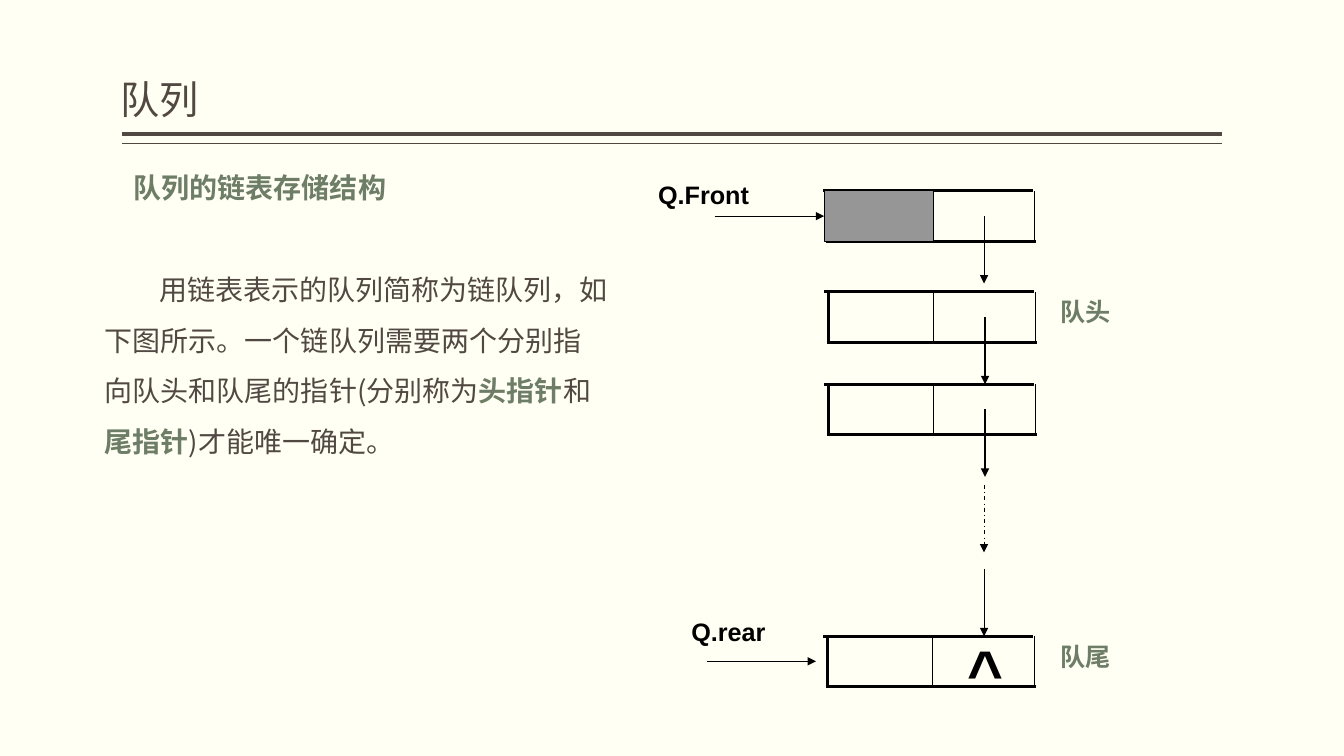
"""Build a slide that shows a queue stored as a linked list."""
from lxml import etree
from pptx import Presentation
from pptx.dml.color import RGBColor
from pptx.enum.dml import MSO_LINE
from pptx.enum.shapes import MSO_CONNECTOR, MSO_SHAPE
from pptx.enum.text import MSO_ANCHOR
from pptx.oxml.ns import qn
from pptx.util import Pt

STRAIGHT = MSO_CONNECTOR.STRAIGHT
RECTANGLE = MSO_SHAPE.RECTANGLE
DASH_DOT = MSO_LINE.DASH_DOT
BOTTOM = MSO_ANCHOR.BOTTOM
CHINESE_FONT = "Noto Sans CJK SC"
BROWN, GREEN, BLACK = "514843", "6D7D66", "000000"

presentation = Presentation()
presentation.slide_width = Pt(960)
presentation.slide_height = Pt(540)
slide = presentation.slides.add_slide(presentation.slide_layouts[6])
slide.background.fill.solid()
slide.background.fill.fore_color.rgb = RGBColor.from_string("FFFFF3")


def add_line(x1, y1, x2, y2, width, color=BLACK, arrow=False):
    """Draw a straight line, with an arrowhead at its end if asked."""
    connector = slide.shapes.add_connector(STRAIGHT, Pt(x1), Pt(y1), Pt(x2), Pt(y2))
    connector.line.width = Pt(width)
    connector.line.color.rgb = RGBColor.from_string(color)
    properties = connector._element.spPr
    if arrow:
        etree.SubElement(properties.find(qn("a:ln")), qn("a:tailEnd"), type="triangle")
    etree.SubElement(properties, qn("a:effectLst"))
    return connector


def add_text(left, top, width, height, runs, size, font):
    """Add a text box of one paragraph from (text, color, bold) runs."""
    box = slide.shapes.add_textbox(Pt(left), Pt(top), Pt(width), Pt(height))
    box.text_frame.word_wrap = True
    paragraph = box.text_frame.paragraphs[0]
    for text, color, bold in runs:
        run = paragraph.add_run()
        run.text = text
        run.font.size = Pt(size)
        run.font.bold = bold
        run.font.name = font
        run.font.color.rgb = RGBColor.from_string(color)
        etree.SubElement(run.font._element, qn("a:ea"), typeface=CHINESE_FONT)
    return box.text_frame


for rule_y, rule_width in ((95.8, 3), (102.6, 0.75)):
    add_line(87.1, rule_y, 873, rule_y, rule_width, BROWN)

title = add_text(86, 46.8, 708, 44.6, [("队列", BROWN, False)], 28, CHINESE_FONT)
title.vertical_anchor = BOTTOM
title.margin_left = title.margin_right = 0
title.paragraphs[0].line_spacing = 0.9

body_runs = [
    ("用链表表示的队列简称为链队列，如下图所示。一个链队列需要两个分别指向队头和队尾的指针(分别称为", BROWN, False),
    ("头指针", GREEN, True),
    ("和", BROWN, False),
    ("尾指针", GREEN, True),
    (")才能唯一确定。", BROWN, False),
]
body = add_text(67.7, 179.4, 374.2, 155.5, body_runs, 20, CHINESE_FONT)
body.paragraphs[0].line_spacing = 1.5
body.paragraphs[0]._p.get_or_add_pPr().set("indent", str(Pt(38.8)))

labels = [
    ("队列的链表存储结构", 88.4, 118.2, 220, 20, GREEN),
    ("Q.Front", 463, 124.6, 98, 18, BLACK),
    ("Q.rear", 486.7, 436.8, 96, 18, BLACK),
    ("^", 684, 448.6, 36, 44, BLACK),
    ("队头", 750.6, 208.1, 66, 18, GREEN),
    ("队尾", 750.6, 454.3, 66, 18, GREEN),
]
for text, left, top, width, size, color in labels:
    add_text(left, top, width, size * 1.6, [(text, color, True)], size, "Arial")

NODE_HEIGHT = 36
NODE_WIDTH = 147.6
LINE_END = 1.1
for left, top in ((591.1, 136.4), (591.8, 208.4), (591.8, 274.5), (591.1, 454.5)):
    right, bottom = left + NODE_WIDTH, top + NODE_HEIGHT
    add_line(left - LINE_END, bottom, right + LINE_END, bottom, 2.25)
    add_line(left - 2.1 - LINE_END, top, right - 2.1 + LINE_END, top, 2.25)
    for x, width in ((left, 2.25), (left + 74.9, 0.75), (right, 0.75)):
        add_line(x, bottom, x, top, width)

ARROW_LENGTH = 48.2
for x, y in ((702.9, 154.3), (703.6, 226.3), (703.6, 292.4), (702.9, 406.3)):
    add_line(x, y, x, y + ARROW_LENGTH, 0.75, arrow=True)
omitted_nodes = add_line(702.9, 346.4, 702.9, 346.4 + ARROW_LENGTH, 0.75, arrow=True)
omitted_nodes.line.dash_style = DASH_DOT

head_cell = slide.shapes.add_shape(RECTANGLE, Pt(589), Pt(136.4), Pt(77.8), Pt(NODE_HEIGHT))
head_cell.shadow.inherit = False
head_cell.fill.solid()
head_cell.fill.fore_color.rgb = RGBColor.from_string("969696")
head_cell.line.color.rgb = RGBColor.from_string(BLACK)
head_cell.line.width = Pt(0.75)

for x, y in ((510.5, 154.4), (504.7, 472.4)):
    add_line(x, y, x + 78.2, y, 0.75, arrow=True)

presentation.save("out.pptx")
